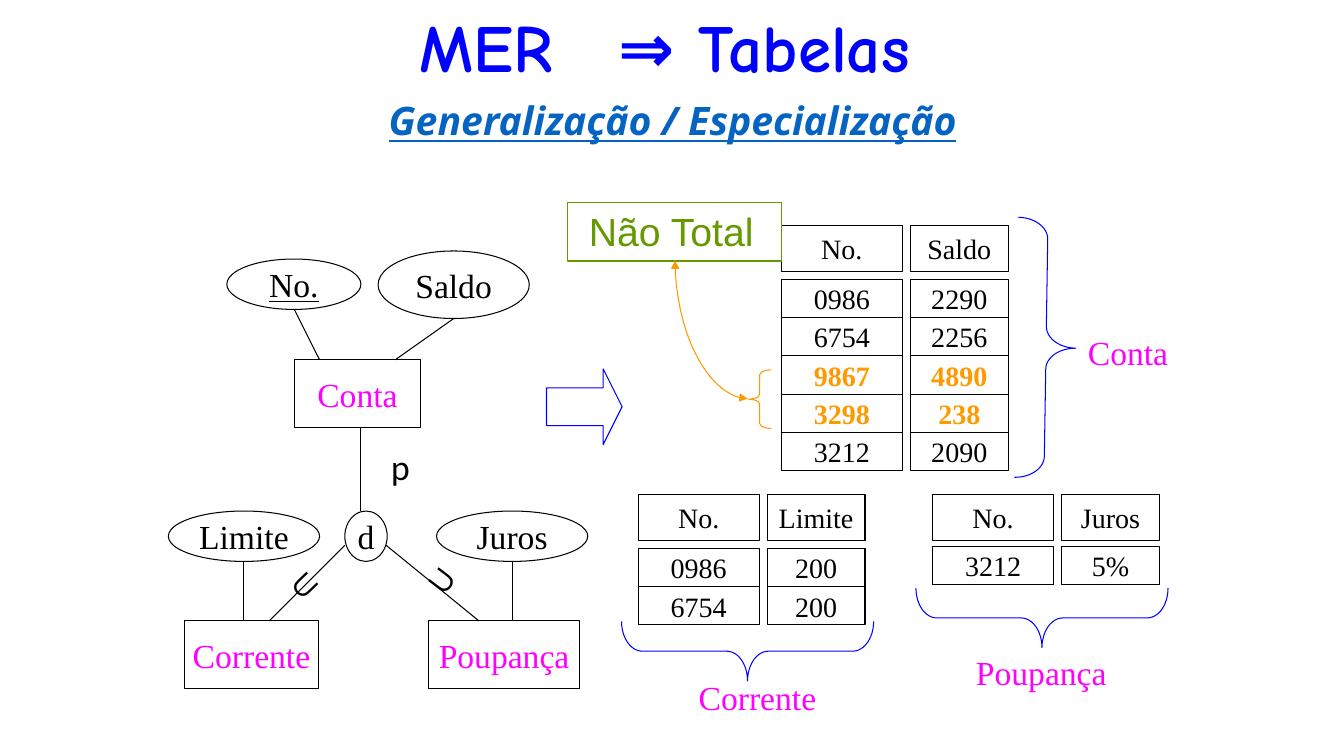
from lxml import etree
from pptx import Presentation, util as u
from pptx.dml.color import RGBColor
from pptx.enum import shapes, text
from pptx.oxml.ns import qn

EMU_PER_PX = 9144
COLORS = {"black": "000000", "blue": "0000FF", "link": "0563C1",
          "pink": "FF00FF", "orange": "FF9900", "green": "669900"}
SERIF = "Times New Roman"
SHAPE = shapes.MSO_SHAPE
CENTER = text.PP_ALIGN.CENTER
LEFT = text.PP_ALIGN.LEFT
MIDDLE = text.MSO_ANCHOR.MIDDLE
TOP = text.MSO_ANCHOR.TOP


def px(length):
    """Turn whole pixels into EMU."""
    return u.Emu(length * EMU_PER_PX)


def write(shape, wording, size, color="black", font=SERIF, align=CENTER,
          anchor=MIDDLE, wrap=False, indent=10):
    """Write one paragraph into a shape and return it."""
    frame = shape.text_frame
    frame.word_wrap = wrap
    frame.vertical_anchor = anchor
    frame.margin_left = px(indent)
    paragraph = frame.paragraphs[0]
    paragraph.text = wording
    paragraph.alignment = align
    paragraph.font.size = u.Pt(size)
    paragraph.font.name = font
    paragraph.font.color.rgb = RGBColor.from_string(COLORS[color])
    return paragraph


def add_label(slide, box, wording, size, **style):
    """Add a text box and return its paragraph."""
    label = slide.shapes.add_textbox(*map(px, box))
    return write(label, wording, size, **{"align": LEFT, "anchor": TOP, **style})


def add_outline(slide, kind, box, color="black", rotation=0):
    """Add an unfilled preset shape with a thin line."""
    shape = slide.shapes.add_shape(kind, *map(px, box))
    shape.shadow.inherit = False
    shape.fill.background()
    shape.line.color.rgb = RGBColor.from_string(COLORS[color])
    shape.line.width = u.Pt(0.75)
    shape.rotation = rotation
    return shape


def add_brace(slide, box, color, curl, rotation):
    """Add a brace with the given curl and rotation."""
    brace = add_outline(slide, SHAPE.LEFT_BRACE, box, color, rotation)
    brace.adjustments[0] = curl


def add_line(slide, ends, color="black", kind=shapes.MSO_CONNECTOR.STRAIGHT):
    """Add a thin connector without shadow."""
    connector = slide.shapes.add_connector(kind, *map(px, ends))
    connector.line.color.rgb = RGBColor.from_string(COLORS[color])
    connector.line.width = u.Pt(0.75)
    etree.SubElement(connector._element.spPr, qn("a:effectLst"))
    return connector


def draw_heading(slide, left, top):
    """Draw the title and the subtitle."""
    title = add_label(slide, (left + 50, top, 908, 58), "", 48, color="blue", font="Comic Neue",
                      align=CENTER, anchor=text.MSO_ANCHOR.BOTTOM, wrap=True)
    title.font.bold = True
    for wording in ("MER", " ", "⇒ Tabelas "):
        run = title.add_run()
        run.text = wording
        if wording == " ":
            run.font._element.set("spc", "3000")
    subtitle = add_label(slide, (left, top + 59, 1000, 57), "Generalização / Especialização", 28,
                         color="link", font="Noto Sans", align=CENTER, wrap=True)
    subtitle.font.bold = subtitle.font.italic = subtitle.font.underline = True


def draw_diagram(slide, left, top):
    """Draw the entity diagram with its specialization."""
    nodes = [
        (SHAPE.RECTANGLE, (125, 108, 125, 67), "Conta", "pink"),
        (SHAPE.OVAL, (58, 8, 133, 50), "No.", "black"),
        (SHAPE.OVAL, (208, 0, 150, 67), "Saldo", "black"),
        (SHAPE.OVAL, (175, 258, 42, 50), "d", "black"),
        (SHAPE.RECTANGLE, (16, 367, 133, 67), "Corrente", "pink"),
        (SHAPE.RECTANGLE, (258, 367, 150, 67), "Poupança", "pink"),
        (SHAPE.OVAL, (0, 258, 150, 50), "Limite", "black"),
        (SHAPE.OVAL, (266, 258, 150, 50), "Juros", "black"),
    ]
    for kind, (x, y, width, height), wording, color in nodes:
        node = add_outline(slide, kind, (left + x, top + y, width, height))
        write(node, wording, 24, color).font.underline = wording == "No." or None
    for x1, y1, x2, y2 in [(125, 58, 150, 108), (283, 67, 225, 108), (191, 258, 191, 175),
                           (175, 292, 100, 367), (216, 292, 308, 367),
                           (75, 308, 75, 367), (341, 308, 341, 367)]:
        add_line(slide, (left + x1, top + y1, left + x2, top + y2))
    for x, y, rotation in [(241, 300, 307.3), (111, 298, 46.1)]:
        union = slide.shapes.add_textbox(*map(px, (left + x, top + y, 50, 57)))
        union.rotation = rotation
        write(union, "∪", 28, align=LEFT, anchor=TOP).font.bold = True
    add_label(slide, (left + 211, top + 189, 39, 51), "p", 24, font="Lato")


def draw_table(slide, left, top, columns, body_top=53, highlighted=()):
    """Draw separate bordered columns, each a header above its rows."""
    header_height, row_height, gap = 45, 38, 8
    x = left
    for width, (header, *rows) in zip((120, 97), columns):
        cell = add_outline(slide, SHAPE.RECTANGLE, (x, top, width, header_height))
        write(cell, header, 20)
        for index, value in enumerate(rows):
            y = top + body_top + index * row_height
            cell = add_outline(slide, SHAPE.RECTANGLE, (x, y, width, row_height))
            marked = index in highlighted
            write(cell, value, 20, "orange" if marked else "black").font.bold = marked
        x += width + gap


def draw_table_name(slide, left, top, name, label_at, brace_box, curl, rotation):
    """Draw the brace and the name that go with the table at this corner."""
    x, y, width, height = brace_box
    add_brace(slide, (left + x, top + y, width, height), "blue", curl, rotation)
    x, y = label_at
    add_label(slide, (left + x, top + y, 183, 50), name, 24, color="pink", wrap=True, indent=35)


def draw_partial_note(slide, left, top):
    """Draw the note on partial coverage and its link to the marked rows."""
    note = add_outline(slide, SHAPE.RECTANGLE, (left, top, 212, 58), "green")
    write(note, "Não Total", 28, "green", "Arial", LEFT, TOP, indent=21)
    add_brace(slide, (left + 179, top + 166, 23, 58), "orange", 0.21, 0)
    curve = add_line(slide, (left + 211, top + 90, left + 74, top + 162), "orange",
                     shapes.MSO_CONNECTOR.CURVE)
    properties = curve._element.spPr
    properties.find(qn("a:xfrm")).set("rot", "16200000")
    properties.find(qn("a:prstGeom")).set("prst", "curvedConnector2")
    for end in ("a:headEnd", "a:tailEnd"):
        etree.SubElement(properties.find(qn("a:ln")), qn(end), type="triangle")


def main():
    """Build and save the slide."""
    presentation = Presentation()
    presentation.slide_width, presentation.slide_height = px(1333), px(750)
    slide = presentation.slides.add_slide(presentation.slide_layouts[6])
    draw_heading(slide, 167, 32)
    draw_diagram(slide, 167, 249)
    arrow = add_outline(slide, SHAPE.RIGHT_ARROW, (542, 366, 75, 75), "blue")
    arrow.adjustments[1] = 0.25
    draw_table(slide, 775, 224, [("No.", "0986", "6754", "9867", "3298", "3212"),
                                 ("Saldo", "2290", "2256", "4890", "238", "2090")],
               highlighted=(2, 3))
    draw_table_name(slide, 775, 224, "Conta", (269, 100), (233, -8, 59, 258), 0.36, 180.9)
    draw_table(slide, 633, 491, [("No.", "0986", "6754"), ("Limite", "200", "200")])
    draw_table_name(slide, 633, 491, "Corrente", (25, 176), (79, 30, 59, 250), 0.35, 270)
    draw_table(slide, 925, 491, [("No.", "3212"), ("Juros", "5%")], body_top=51)
    draw_table_name(slide, 925, 491, "Poupança", (8, 151), (79, -3, 59, 250), 0.35, 270)
    draw_partial_note(slide, 563, 201)
    presentation.save("out.pptx")


if __name__ == "__main__":
    main()
